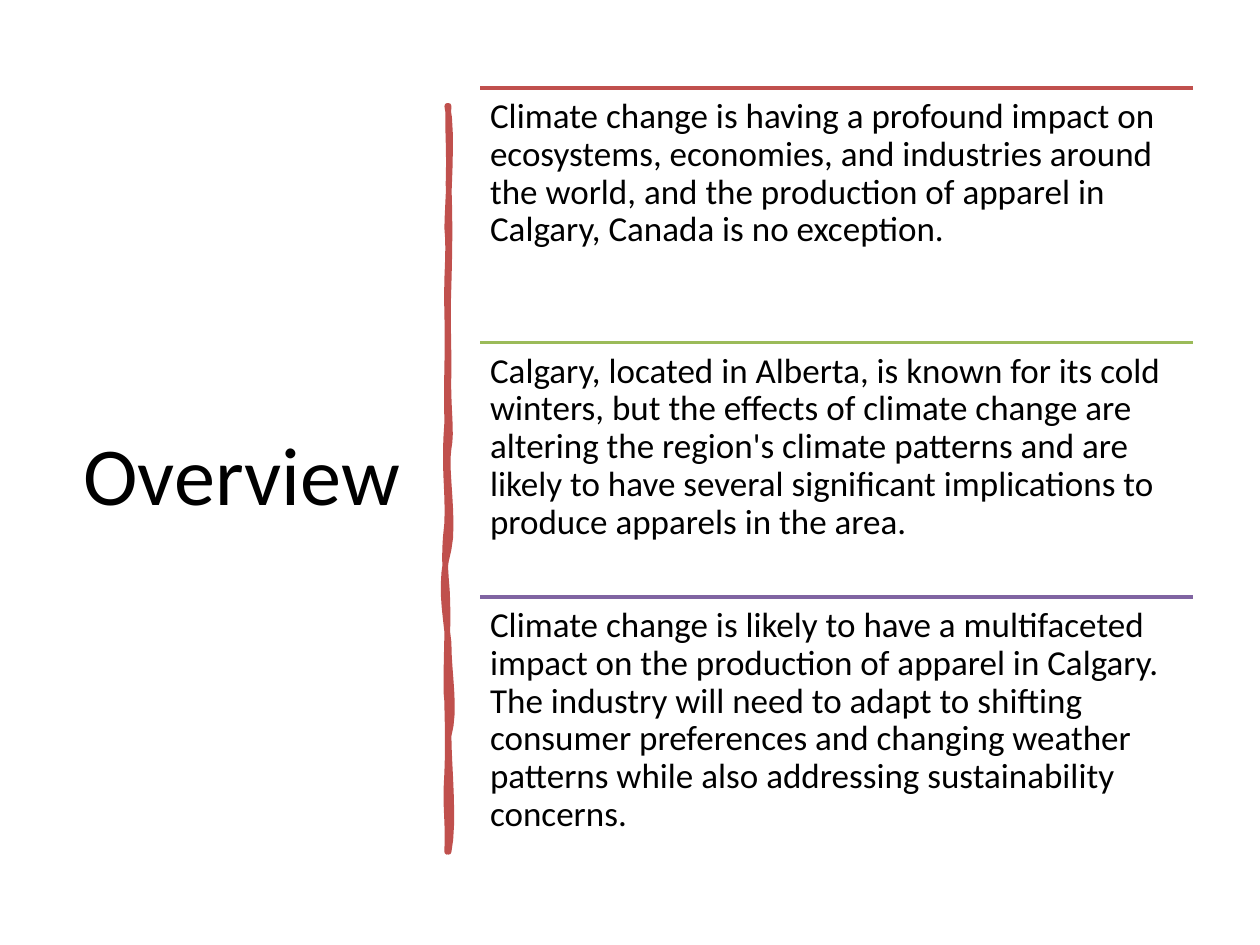
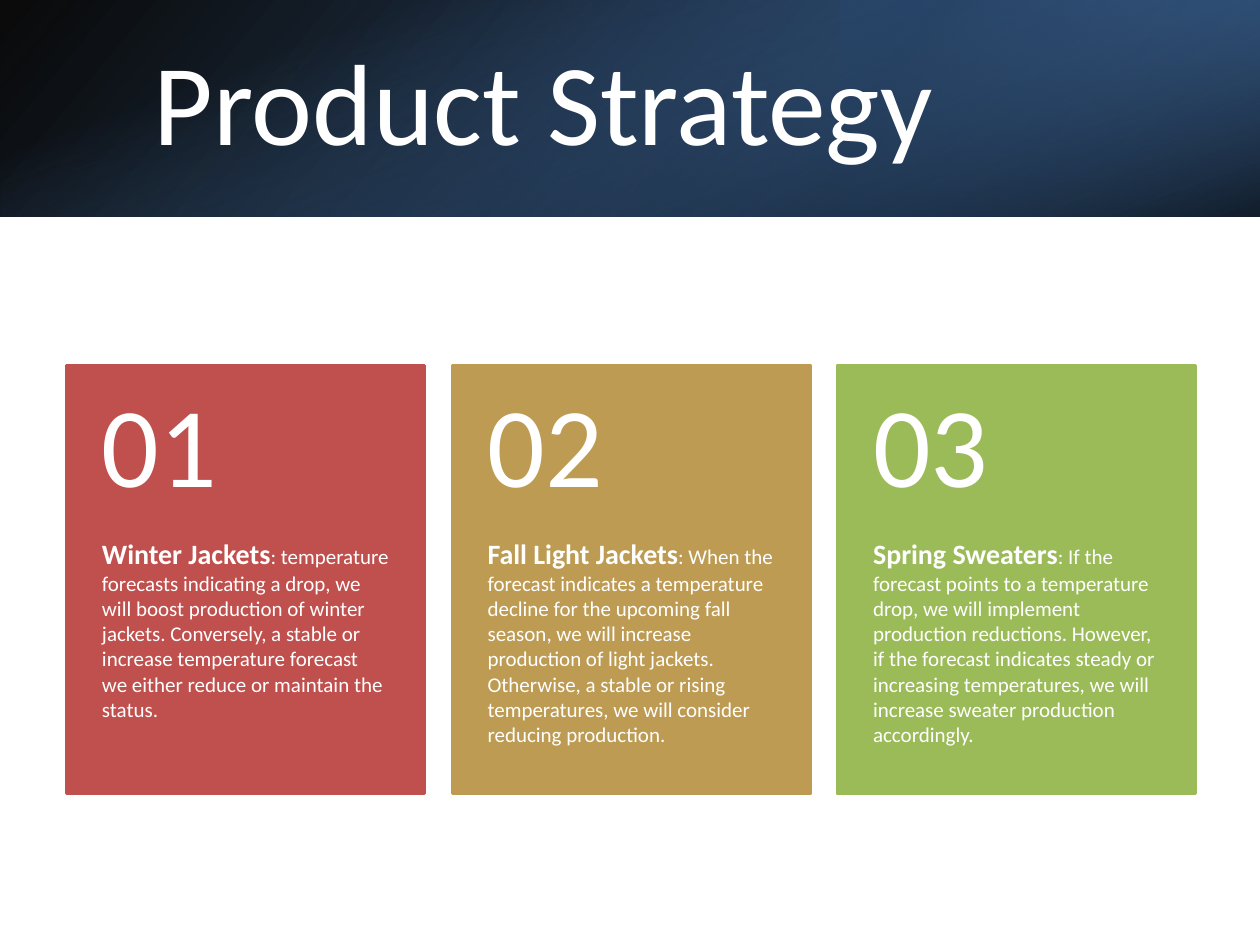
"""Build an overview slide and a product strategy slide."""
from dataclasses import dataclass

from pptx import Presentation
from pptx.dml.color import RGBColor
from pptx.enum import shapes, text
from pptx.oxml import ns, xmlchemy
from pptx.util import Inches, Pt

FONT = "Calibri"
BLACK, WHITE = "000000", "FFFFFF"
RED, GREEN, PURPLE, GOLD = "C0504D", "9BBB59", "8064A2", "BD9B53"
NAVY, BLUE, DEEP_BLUE = "376092", "4F81BD", "254061"
BAND_HEIGHT = 1.72
TOP, MIDDLE = text.MSO_ANCHOR.TOP, text.MSO_ANCHOR.MIDDLE

Box = tuple[float, float, float, float]
Point = tuple[float, float]


@dataclass
class Span:
    """A run of text with its look."""
    words: str
    size: float
    color: str = WHITE
    bold: bool = False


@dataclass
class Stop:
    """A gradient stop; position and opacity are percentages."""
    position: int
    color: str
    opacity: int


@dataclass
class Band:
    """A gradient layer of the title band."""
    box: Box
    stops: tuple[Stop, Stop]
    angle: int
    rotation: int = 0
    flipped: bool = False


@dataclass
class Point3:
    """An overview statement under a coloured rule."""
    color: str
    words: str


@dataclass
class Card:
    """A numbered product card."""
    color: str
    product: str
    words: str


STATEMENTS = [
    Point3(RED, "Climate change is having a profound impact on ecosystems, economies, "
                "and industries around the world, and the production of apparel in "
                "Calgary, Canada is no exception."),
    Point3(GREEN, "Calgary, located in Alberta, is known for its cold winters, but the "
                  "effects of climate change are altering the region's climate patterns "
                  "and are likely to have several significant implications to produce "
                  "apparels in the area."),
    Point3(PURPLE, "Climate change is likely to have a multifaceted impact on the "
                   "production of apparel in Calgary. The industry will need to adapt to "
                   "shifting consumer preferences and changing weather patterns while "
                   "also addressing sustainability concerns."),
]

CARDS = [
    Card(RED, "Winter Jackets",
         ": temperature forecasts indicating a drop, we will boost production of winter "
         "jackets. Conversely, a stable or increase temperature forecast  we either "
         "reduce or maintain the status."),
    Card(GOLD, "Fall Light Jackets",
         ": When the forecast indicates a temperature decline for the upcoming fall "
         "season, we will increase production of light jackets. Otherwise, a stable or "
         "rising temperatures, we will consider reducing production."),
    Card(GREEN, "Spring Sweaters",
         ": If the forecast points to a temperature drop, we will implement production "
         "reductions. However, if the forecast indicates steady or increasing "
         "temperatures, we will increase sweater production accordingly."),
]

BANDS = [
    Band((0, 0, 10, BAND_HEIGHT), (Stop(0, BLACK, 96), Stop(100, NAVY, 100)), 140,
         flipped=True),
    Band((6.67, 0, 3.33, BAND_HEIGHT), (Stop(19, DEEP_BLUE, 68), Stop(100, BLUE, 79)), 320,
         rotation=180, flipped=True),
    Band((4.14, -4.14, BAND_HEIGHT, 10), (Stop(23, BLUE, 0), Stop(99, BLACK, 74)), 340,
         rotation=90),
]

STROKE_START = (3.56, 0.84)
STROKE_CURVES = [
    ((3.55, 1.03), (3.57, 1.16), (3.56, 1.46)),
    ((3.57, 1.74), (3.57, 1.91), (3.56, 2.26)),
    ((3.55, 2.58), (3.56, 2.62), (3.56, 2.94)),
    ((3.55, 3.25), (3.59, 3.42), (3.56, 3.56)),
    ((3.53, 3.72), (3.61, 4.14), (3.56, 4.36)),
    ((3.49, 4.62), (3.53, 4.83), (3.56, 5.1)),
    ((3.56, 5.35), (3.62, 5.63), (3.56, 5.84)),
    ((3.56, 6.06), (3.61, 6.53), (3.56, 6.76)),
    ((3.56, 6.75), (3.55, 6.76), (3.55, 6.76)),
    ((3.56, 6.45), (3.53, 6.44), (3.55, 6.13)),
    ((3.56, 5.83), (3.55, 5.7), (3.55, 5.57)),
    ((3.53, 5.46), (3.56, 4.94), (3.55, 4.77)),
    ((3.55, 4.62), (3.51, 4.47), (3.55, 4.15)),
    ((3.56, 3.86), (3.52, 3.73), (3.55, 3.35)),
    ((3.54, 3), (3.56, 2.79), (3.55, 2.5)),
    ((3.54, 2.16), (3.57, 2.03), (3.55, 1.81)),
    ((3.55, 1.65), (3.6, 1.04), (3.55, 0.84)),
]


def rgb(color: str) -> RGBColor:
    """Turn a hex string into a colour."""
    return RGBColor.from_string(color)


def paint(shape, color: str, width: float) -> None:
    """Give a shape one colour for fill and outline, and no shadow."""
    shape.shadow.inherit = False
    shape.fill.solid()
    shape.fill.fore_color.rgb = rgb(color)
    shape.line.color.rgb = rgb(color)
    shape.line.width = Pt(width)


def write(frame, spans: list[Span], anchor=TOP, align=text.PP_ALIGN.LEFT,
          spacing: float = 1.0) -> None:
    """Fill a text frame with one paragraph, run by run."""
    frame.word_wrap = True
    frame.auto_size = text.MSO_AUTO_SIZE.NONE
    frame.vertical_anchor = anchor
    para = frame.paragraphs[0]
    para.alignment = align
    para.line_spacing = spacing
    for span in spans:
        run = para.add_run()
        run.text = span.words
        run.font.name = FONT
        run.font.size = Pt(span.size)
        run.font.bold = span.bold
        run.font.color.rgb = rgb(span.color)


def add_text(page, box: Box, insets: Box, spans: list[Span], **style) -> None:
    """Add a text box with insets given as left, top, right, bottom."""
    frame = page.shapes.add_textbox(*map(Inches, box)).text_frame
    (frame.margin_left, frame.margin_top,
     frame.margin_right, frame.margin_bottom) = map(Inches, insets)
    write(frame, spans, **style)


def set_title(page, box: Box, span: Span, **style) -> None:
    """Place the title placeholder in front and write it."""
    title = page.shapes.title
    title.left, title.top, title.width, title.height = map(Inches, box)
    write(title.text_frame, [span], anchor=MIDDLE, **style)
    title.element.getparent().append(title.element)


def add_rule(page, left: float, right: float, top: float, color: str) -> None:
    """Draw a horizontal rule."""
    rule = page.shapes.add_connector(
        shapes.MSO_CONNECTOR.STRAIGHT, *map(Inches, (left, top, right, top)))
    rule.line.color.rgb = rgb(color)
    rule.line.width = Pt(2)
    xmlchemy.OxmlElement("a:effectLst")
    rule.element.spPr.append(xmlchemy.OxmlElement("a:effectLst"))


def curve_points(start: Point, curves: list, steps: int = 8) -> list[Point]:
    """Sample a chain of cubic curves."""
    points = []
    for first, second, end in curves:
        for step in range(1, steps + 1):
            t = step / steps
            weights = ((1 - t) ** 3, 3 * t * (1 - t) ** 2, 3 * t * t * (1 - t), t ** 3)
            corners = (start, first, second, end)
            points.append(tuple(sum(w * c[axis] for w, c in zip(weights, corners))
                                for axis in (0, 1)))
        start = end
    return points


def add_brush_stroke(page) -> None:
    """Draw the hand-drawn upright divider."""
    builder = page.shapes.build_freeform(*map(Inches, STROKE_START))
    builder.add_line_segments(
        [(Inches(x), Inches(y)) for x, y in curve_points(STROKE_START, STROKE_CURVES)],
        close=True)
    paint(builder.convert_to_shape(), RED, 3.25)


def add_band(page, band: Band) -> None:
    """Draw one translucent gradient layer."""
    layer = page.shapes.add_shape(shapes.MSO_SHAPE.RECTANGLE, *map(Inches, band.box))
    layer.shadow.inherit = False
    layer.line.fill.background()
    layer.rotation = band.rotation
    if band.flipped:
        layer.element.spPr.get_or_add_xfrm().set("flipH", "1")
    layer.fill.gradient()
    layer.fill.gradient_angle = 360 - band.angle
    for target, stop in zip(layer.fill.gradient_stops, band.stops):
        target.color.rgb = rgb(stop.color)
        target.position = stop.position / 100
    for tint, stop in zip(layer.element.spPr.iter(ns.qn("a:srgbClr")), band.stops):
        alpha = xmlchemy.OxmlElement("a:alpha")
        alpha.set("val", str(stop.opacity * 1000))
        tint.append(alpha)


def add_card(page, number: int, card: Card) -> None:
    """Draw one numbered card in its column."""
    left, top, width, height, head = 0.53 + 3.06 * (number - 1), 2.9, 2.84, 3.4, 1.36
    panel = page.shapes.add_shape(
        shapes.MSO_SHAPE.RECTANGLE, *map(Inches, (left, top, width, height)))
    paint(panel, card.color, 2)
    add_text(page, (left, top + head, width, height - head), (0.28, 0, 0.28, 0.36),
             [Span(card.product, 16, bold=True), Span(card.words, 12)])
    add_text(page, (left, top, width, head), (0.28, 0.18, 0.28, 0.18),
             [Span(f"{number:02d}", 65)], anchor=MIDDLE, spacing=0.9)


def build_overview(page) -> None:
    """Build the overview slide."""
    set_title(page, (0.52, 0.7, 2.8, 6.11), Span("Overview", 47, BLACK),
              align=text.PP_ALIGN.CENTER)
    add_brush_stroke(page)
    left, width, height = 3.81, 5.66, 2.02
    for row, statement in enumerate(STATEMENTS):
        top = 0.7 + height * row
        add_rule(page, left, left + width, top, statement.color)
        add_text(page, (left, top, width, height), (0.08,) * 4,
                 [Span(statement.words, 20, BLACK)], spacing=0.9)


def build_strategy(page) -> None:
    """Build the product strategy slide."""
    for band in BANDS:
        add_band(page, band)
    set_title(page, (1.12, 0.38, 8.24, 0.96), Span("Product Strategy", 66), spacing=0.9)
    for number, card in enumerate(CARDS, 1):
        add_card(page, number, card)


def main() -> None:
    """Build and save the deck."""
    deck = Presentation()
    deck.slide_width, deck.slide_height = Inches(10), Inches(7.5)
    title_only = deck.slide_layouts[5]
    for build in (build_overview, build_strategy):
        build(deck.slides.add_slide(title_only))
    deck.save("out.pptx")


main()
